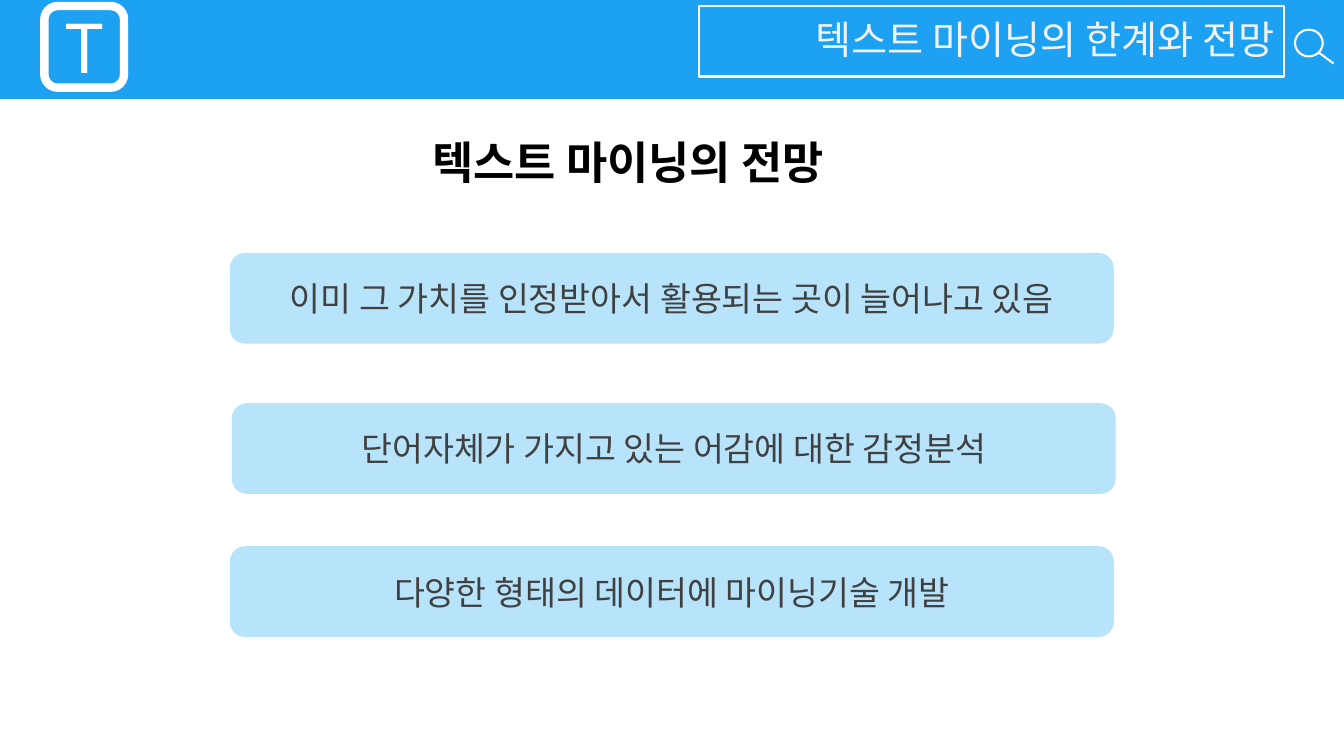
import pptx
import pptx.util
import pptx.dml.color
import pptx.enum.shapes
import pptx.enum.text
import pptx.oxml.ns
import lxml.etree

Pt = pptx.util.Pt
KIND = pptx.enum.shapes.MSO_SHAPE
ALIGN = pptx.enum.text.PP_ALIGN
MID = pptx.enum.text.MSO_ANCHOR.MIDDLE
KR, JP = "Noto Sans CJK KR", "Noto Sans CJK JP"
WHITE = "FFFFFF"

TITLE = "텍스트 마이닝의 한계와 전망"
HEAD = "텍스트 마이닝의 전망"
CARDS = [  # left, top, text
    (164.2, 180.7, "이미 그 가치를 인정받아서 활용되는 곳이 늘어나고 있음"),
    (165.6, 288, "단어자체가 가지고 있는 어감에 대한 감정분석"),
    (164.2, 390.2, "다양한 형태의 데이터에 마이닝기술 개발"),
]
CARD_W, CARD_H = 631.4, 64.8

LOGO_FONT = {"size": Pt(48), "name": JP}
TITLE_FONT = {"size": Pt(28), "name": KR}
HEAD_FONT = {"size": Pt(32), "name": KR, "bold": True}
CARD_FONT = {"size": Pt(24), "name": KR}


def paint(target, color):
    """Give a color format a hex color."""
    target.rgb = pptx.dml.color.RGBColor.from_string(color)


def add(parent, tag, **attrs):
    """Append a drawing element to an XML parent."""
    node = lxml.etree.SubElement(parent, pptx.oxml.ns.qn(tag))
    for key, value in attrs.items():
        node.set(key, value)


def stroke(item, color, width):
    """Draw the line of a shape or connector."""
    item.line.width = Pt(width)
    paint(item.line.color, color)


def shape(home, kind, box, fill=None, alpha=None, line=None):
    """Add a preset shape with its fill and line."""
    item = home.add_shape(kind, *map(Pt, box))
    item.shadow.inherit = False
    if fill:
        item.fill.solid()
        paint(item.fill.fore_color, fill)
    else:
        item.fill.background()
    if alpha:
        tint = item.fill._xPr.find(".//" + pptx.oxml.ns.qn("a:srgbClr"))
        add(tint, "a:alpha", val=str(alpha * 1000))
    if line:
        stroke(item, WHITE, line)
    else:
        item.line.fill.background()
    return item


def write(item, text, font, color, align, anchor=MID, space=None):
    """Put one line of text in a shape or text box."""
    frame = item.text_frame
    frame.word_wrap = True
    frame.vertical_anchor = anchor
    para = frame.paragraphs[0]
    para.alignment = align
    para.line_spacing = space
    run = para.add_run()
    run.text = text
    for key, value in font.items():
        setattr(run.font, key, value)
    paint(run.font.color, color)
    add(run.font._element, "a:ea", typeface=font["name"])


deck = pptx.Presentation()
deck.slide_width, deck.slide_height = Pt(960), Pt(540)
slide = deck.slides.add_slide(deck.slide_layouts[6])
items = slide.shapes

# Top bar with logo, title and search icon
shape(items, KIND.RECTANGLE, (0, -2.9, 960, 73.5), "1DA1F2")
logo = shape(items, KIND.ROUNDED_RECTANGLE, (31.7, 4.3, 56.9, 58.3), line=6)
write(logo, "T", LOGO_FONT, WHITE, ALIGN.CENTER)
title = shape(items, KIND.RECTANGLE, (499, 4.3, 418.3, 50.4), line=1.5)
write(title, TITLE, TITLE_FONT, "F2F2F2", ALIGN.RIGHT, space=0.9)

icon = items.add_group_shape().shapes
shape(icon, KIND.OVAL, (925, 21.2, 19.8, 19.1), line=1.5)
grip = icon.add_connector(pptx.enum.shapes.MSO_CONNECTOR.STRAIGHT,
                          *map(Pt, (941.8, 37.4, 952.6, 45.4)))
stroke(grip, WHITE, 1.5)
add(grip._element.spPr, "a:effectLst")

# Heading and cards
head = items.add_textbox(*map(Pt, (301.7, 92.9, 344.2, 46.1)))
write(head, HEAD, HEAD_FONT, "000000", ALIGN.LEFT,
      pptx.enum.text.MSO_ANCHOR.TOP)
for left, top, text in CARDS:
    card = shape(items, KIND.FLOWCHART_ALTERNATE_PROCESS,
                 (left, top, CARD_W, CARD_H), "71C9F8", alpha=50)
    write(card, text, CARD_FONT, "404040", ALIGN.CENTER)

deck.save("out.pptx")
